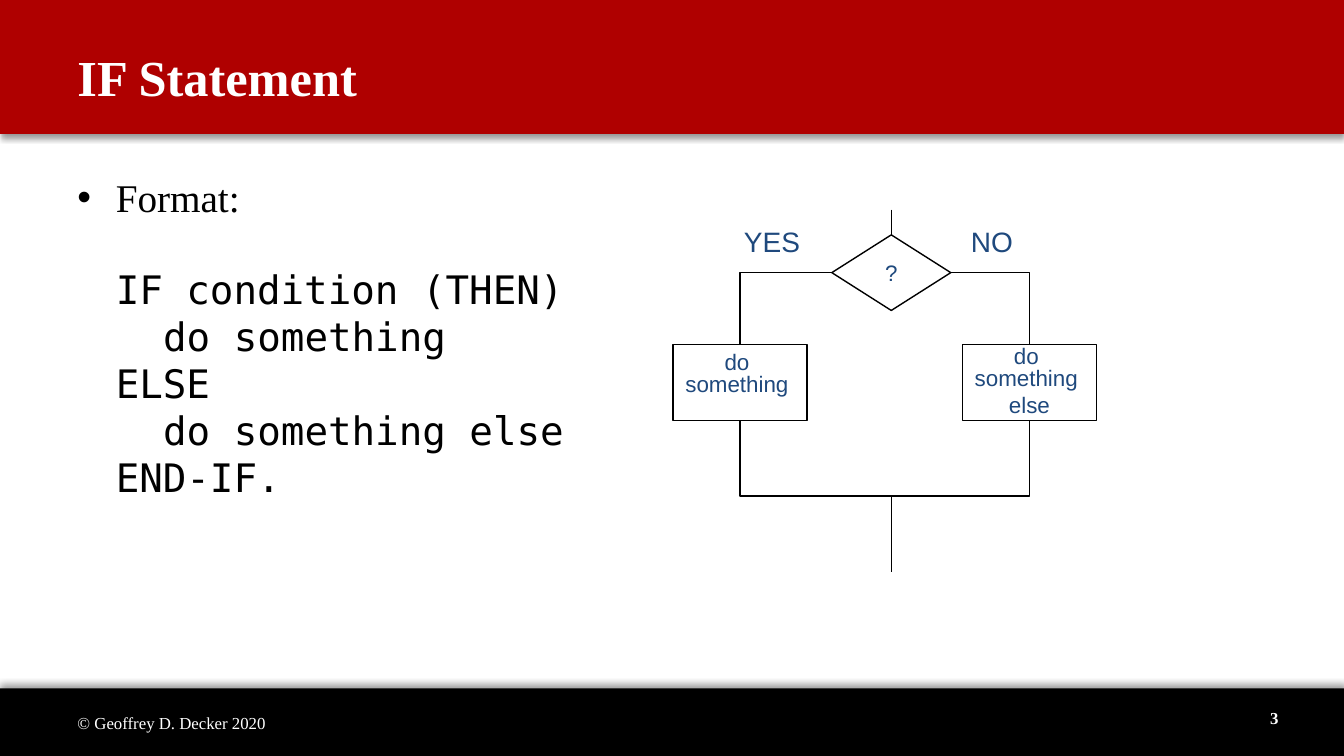
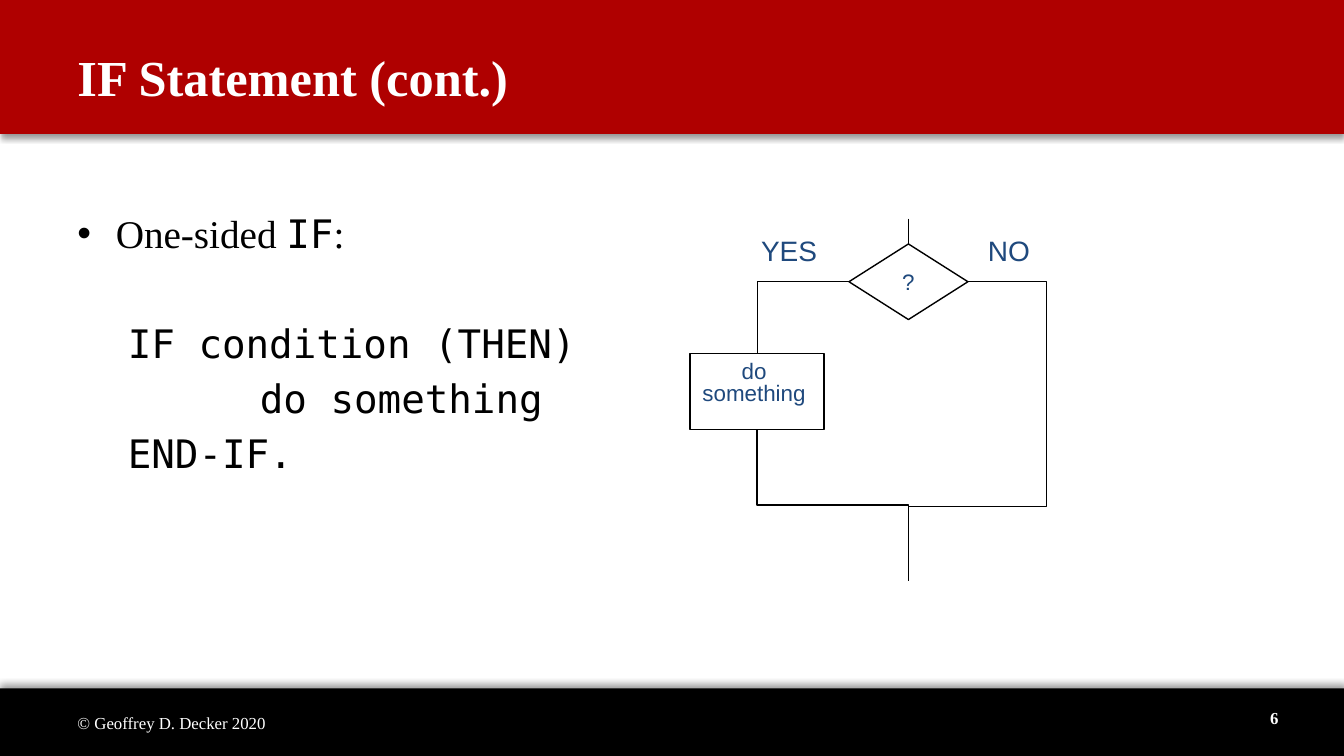
from lxml.etree import SubElement
from pptx import Presentation
from pptx.dml.color import RGBColor
from pptx.enum.shapes import MSO_CONNECTOR as CONNECTOR, MSO_SHAPE as SHAPE
from pptx.enum.text import MSO_ANCHOR as ANCHOR, MSO_AUTO_SIZE as AUTO_SIZE, PP_ALIGN as ALIGN
from pptx.oxml.ns import qn
from pptx.util import Inches, Pt

RED = RGBColor(0xAF, 0x00, 0x00)
BLACK = RGBColor(0x00, 0x00, 0x00)
WHITE = RGBColor(0xFF, 0xFF, 0xFF)
NAVY = RGBColor(0x1F, 0x49, 0x7D)
SERIF, MONO, SANS = "Times New Roman", "DejaVu Sans Mono", "Arial"

WIDTH, HEIGHT = 13.33, 7.5
BANDS = [(6.83, 0.67, BLACK, 270), (0, 1.33, RED, 90)]
COPYRIGHT = "© Geoffrey D. Decker 2020"

TITLE_FONT = dict(name=SERIF, size=Pt(36), bold=True)
FOOTER_FONT = dict(name=SERIF, size=Pt(12))
NUMBER_FONT = dict(FOOTER_FONT, bold=True)
BODY_FONT = dict(name=SERIF, size=Pt(28))
CODE_FONT = dict(BODY_FONT, name=MONO)
NODE_FONT = dict(name=SANS, size=Pt(16))
BRANCH_FONT = dict(name=SANS, size=Pt(20))

BULLET_INDENT = 0.38
YES_X, NO_X = -1.5, 1.37
DIAMOND_WIDTH, NODE_HEIGHT, BOX_WIDTH = 1.18, 0.75, 1.33
DIAMOND_TOP, BOX_TOP, EXIT_END = 0.25, 1.34, 3.59
BRANCH_LABELS = [("YES", -1.56, 0.76), ("NO", 0.69, 0.62)]
DO_LINES = [("do ", 0.8), ("something ", 0.5)]
ELSE_LINES = DO_LINES + [("else", 0.8)]

SLIDES = [
    dict(
        title="IF Statement",
        number="3",
        body_top=1.67,
        bullet=[("Format:", BODY_FONT)],
        code=[
            ("IF condition (THEN)", 0.38),
            ("do something", 0.85),
            ("ELSE", 0.38),
            ("do something else", 0.85),
            ("END-IF.", 0.38),
        ],
        first_gap=32,
        line_gap=0,
        flow_start=(8.84, 2.08),
        no_lines=ELSE_LINES,
        join_shift=50000,
    ),
    dict(
        title="IF Statement (cont.)",
        number="6",
        body_top=2.03,
        bullet=[("One-sided ", BODY_FONT), ("IF", CODE_FONT), (":", BODY_FONT)],
        code=[
            ("IF condition (THEN)", 0.5),
            ("do something", 1.81),
            ("END-IF.", 0.5),
        ],
        first_gap=45,
        line_gap=5.6,
        flow_start=(9.01, 2.17),
        no_lines=None,
        join_shift=51000,
    ),
]


def assign(target, values):
    for name, value in values.items():
        setattr(target, name, value)


def add_run(paragraph, text, font, color):
    run = paragraph.add_run()
    run.text = text
    assign(run.font, font)
    run.font.color.rgb = color


def add_text_box(slide, left, top, width, height, **frame_format):
    box = slide.shapes.add_textbox(*map(Inches, (left, top, width, height)))
    assign(box.text_frame, dict(dict(word_wrap=True), **frame_format))
    return box.text_frame


def add_label(slide, area, text, font, color, align=ALIGN.LEFT, **frame_format):
    frame = add_text_box(slide, *area, **dict(dict(vertical_anchor=ANCHOR.MIDDLE), **frame_format))
    paragraph = frame.paragraphs[0]
    paragraph.alignment = align
    add_run(paragraph, text, font, color)
    return paragraph


def add_band(slide, top, height, color, direction):
    band = slide.shapes.add_shape(
        SHAPE.RECTANGLE, 0, Inches(top), Inches(WIDTH), Inches(height))
    band.fill.solid()
    band.fill.fore_color.rgb = color
    band.line.fill.background()
    band.shadow.inherit = False
    effects = band._element.spPr.find(qn("a:effectLst"))
    shadow = SubElement(
        effects, qn("a:outerShdw"), blurRad=str(Pt(4)), dist=str(Pt(3)),
        dir=str(direction * 60000), algn="ctr", rotWithShape="0")
    shade = SubElement(shadow, qn("a:srgbClr"), val=str(BLACK))
    SubElement(shade, qn("a:alpha"), val="40000")


def add_frame(slide, title, number):
    for band in BANDS:
        add_band(slide, *band)
    add_label(slide, (10.78, 6.92, 2, 0.4), number, NUMBER_FONT, WHITE, ALIGN.RIGHT)
    add_label(slide, (0.67, 0.17, 11, 1.17), title, TITLE_FONT, WHITE)
    add_label(slide, (0.67, 6.97, 4.22, 0.4), COPYRIGHT, FOOTER_FONT, WHITE)


def set_indent(paragraph, left, first=0):
    properties = paragraph._p.get_or_add_pPr()
    properties.set("marL", str(Inches(left)))
    properties.set("indent", str(Inches(first)))
    return properties


def add_body(slide, top, bullet, code, first_gap, line_gap):
    frame = add_text_box(slide, 0.67, top, 5.8, 4.33)
    paragraph = frame.paragraphs[0]
    paragraph.space_before = Pt(5.6)
    properties = set_indent(paragraph, BULLET_INDENT, -BULLET_INDENT)
    SubElement(properties, qn("a:buFont"), typeface=SANS)
    SubElement(properties, qn("a:buChar"), char="•")
    for text, font in bullet:
        add_run(paragraph, text, font, BLACK)
    for index, (text, indent) in enumerate(code):
        paragraph = frame.add_paragraph()
        paragraph.space_before = Pt(line_gap if index else first_gap)
        set_indent(paragraph, indent)
        add_run(paragraph, text, CODE_FONT, BLACK)


def add_node(slide, kind, center, top, width, lines, bottom_margin=0.05):
    node = slide.shapes.add_shape(
        kind, *map(Inches, (center - width / 2, top, width, NODE_HEIGHT)))
    node.shadow.inherit = False
    node.fill.background()
    node.line.color.rgb = BLACK
    node.line.width = Pt(1)
    frame = node.text_frame
    assign(frame, dict(word_wrap=False, vertical_anchor=ANCHOR.MIDDLE,
                       margin_bottom=Inches(bottom_margin)))
    for index, (text, spacing) in enumerate(lines):
        paragraph = frame.add_paragraph() if index else frame.paragraphs[0]
        assign(paragraph, dict(alignment=ALIGN.CENTER, line_spacing=spacing,
                               space_before=Pt(4.8)))
        add_run(paragraph, text, NODE_FONT, NAVY)
    return node


def add_line(slide, start, end, kind=CONNECTOR.STRAIGHT):
    line = slide.shapes.add_connector(kind, *map(Inches, (*start, *end)))
    line.line.color.rgb = BLACK
    line.line.width = Pt(1)
    SubElement(line._element.spPr, qn("a:effectLst"))
    return line


def add_elbow(slide, start, end, preset, rotation=0, flip=None, shift=None):
    (x1, y1), (x2, y2) = start, end
    width, height = abs(x2 - x1), abs(y2 - y1)
    if rotation in (90, 270):
        width, height = height, width
    left, top = (x1 + x2 - width) / 2, (y1 + y2 - height) / 2
    line = add_line(slide, (left, top), (left + width, top + height), CONNECTOR.ELBOW)
    properties = line._element.spPr
    transform = properties.find(qn("a:xfrm"))
    transform.set("rot", str(rotation * 60000))
    if flip:
        transform.set(flip, "1")
    geometry = properties.find(qn("a:prstGeom"))
    geometry.set("prst", preset)
    if shift:
        guides = geometry.find(qn("a:avLst"))
        SubElement(guides, qn("a:gd"), name="adj1", fmla=f"val {shift}")


def add_flowchart(slide, start, no_lines, join_shift):
    x, y = start
    yes_x, no_x = x + YES_X, x + NO_X
    diamond_top, box_top = y + DIAMOND_TOP, y + BOX_TOP
    diamond_middle = diamond_top + NODE_HEIGHT / 2
    box_bottom, exit_point = box_top + NODE_HEIGHT, (x, y + EXIT_END)
    half = DIAMOND_WIDTH / 2

    diamond = add_node(slide, SHAPE.FLOWCHART_DECISION, x, diamond_top,
                       DIAMOND_WIDTH, [("?", 1.0)])
    add_node(slide, SHAPE.FLOWCHART_PROCESS, yes_x, box_top, BOX_WIDTH, DO_LINES, 0.22)
    if no_lines:
        add_node(slide, SHAPE.FLOWCHART_PROCESS, no_x, box_top, BOX_WIDTH, no_lines)
    else:
        add_line(slide, (no_x, box_top), (no_x, box_bottom))
    add_line(slide, start, (x, diamond_top)).end_connect(diamond, 0)

    add_elbow(slide, (x - half, diamond_middle), (yes_x, box_top),
              "bentConnector2", 180, "flipV")
    add_elbow(slide, (x + half, diamond_middle), (no_x, box_top), "bentConnector2")
    add_elbow(slide, (yes_x, box_bottom), exit_point,
              "bentConnector3", 270, "flipH", 50000)
    add_elbow(slide, (no_x, box_bottom), exit_point,
              "bentConnector3", 90, shift=join_shift)

    for text, offset, width in BRANCH_LABELS:
        label = add_label(slide, (x + offset, y + 0.1, width, 0.44), text, BRANCH_FONT,
                          NAVY, word_wrap=False, vertical_anchor=ANCHOR.TOP,
                          auto_size=AUTO_SIZE.SHAPE_TO_FIT_TEXT)
        label.space_before = Pt(6)


def main():
    presentation = Presentation()
    assign(presentation, dict(slide_width=Inches(WIDTH), slide_height=Inches(HEIGHT)))
    for content in SLIDES:
        slide = presentation.slides.add_slide(presentation.slide_layouts[6])
        add_frame(slide, content["title"], content["number"])
        add_body(slide, content["body_top"], content["bullet"], content["code"],
                 content["first_gap"], content["line_gap"])
        add_flowchart(slide, content["flow_start"], content["no_lines"],
                      content["join_shift"])
    presentation.save("out.pptx")


if __name__ == "__main__":
    main()
